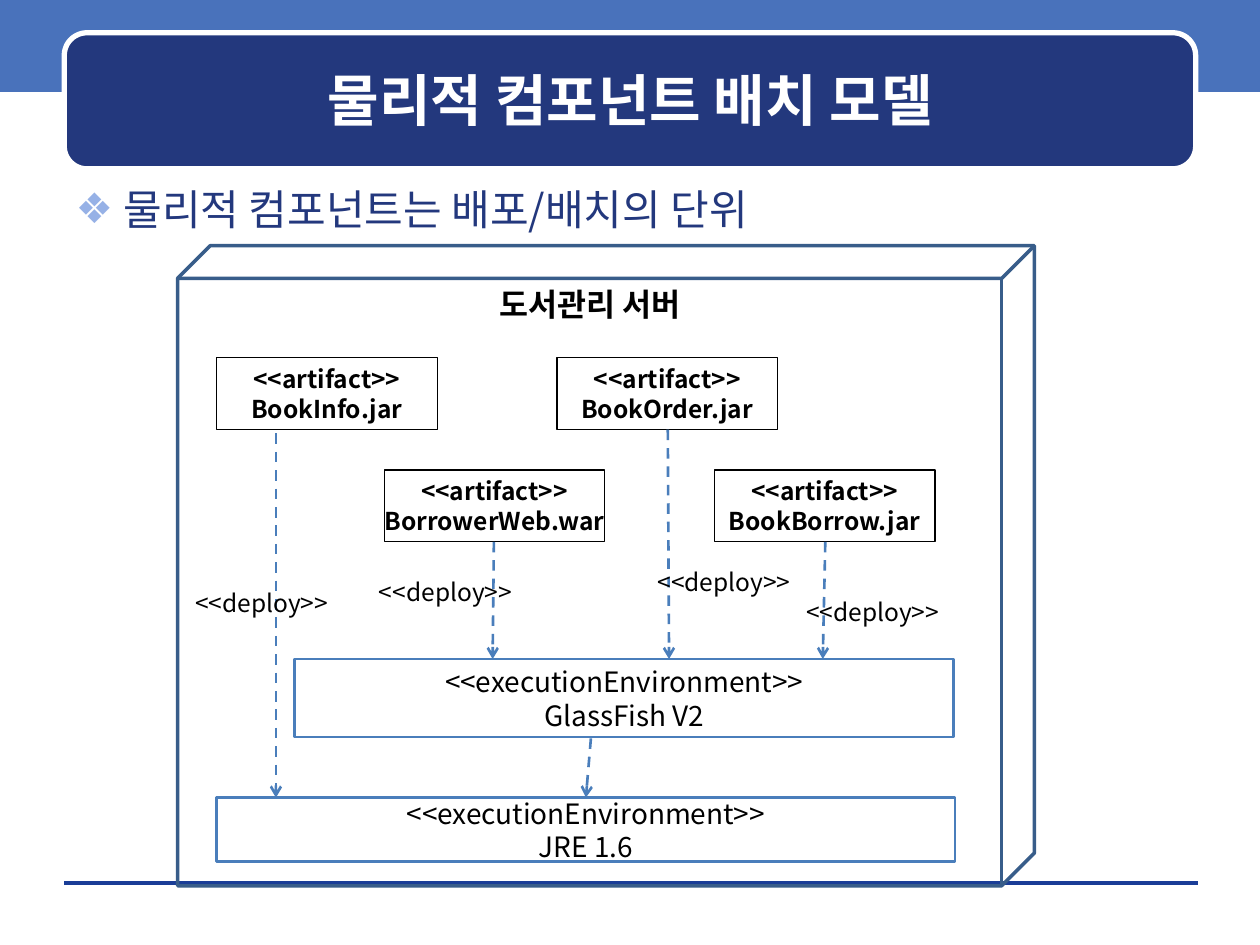
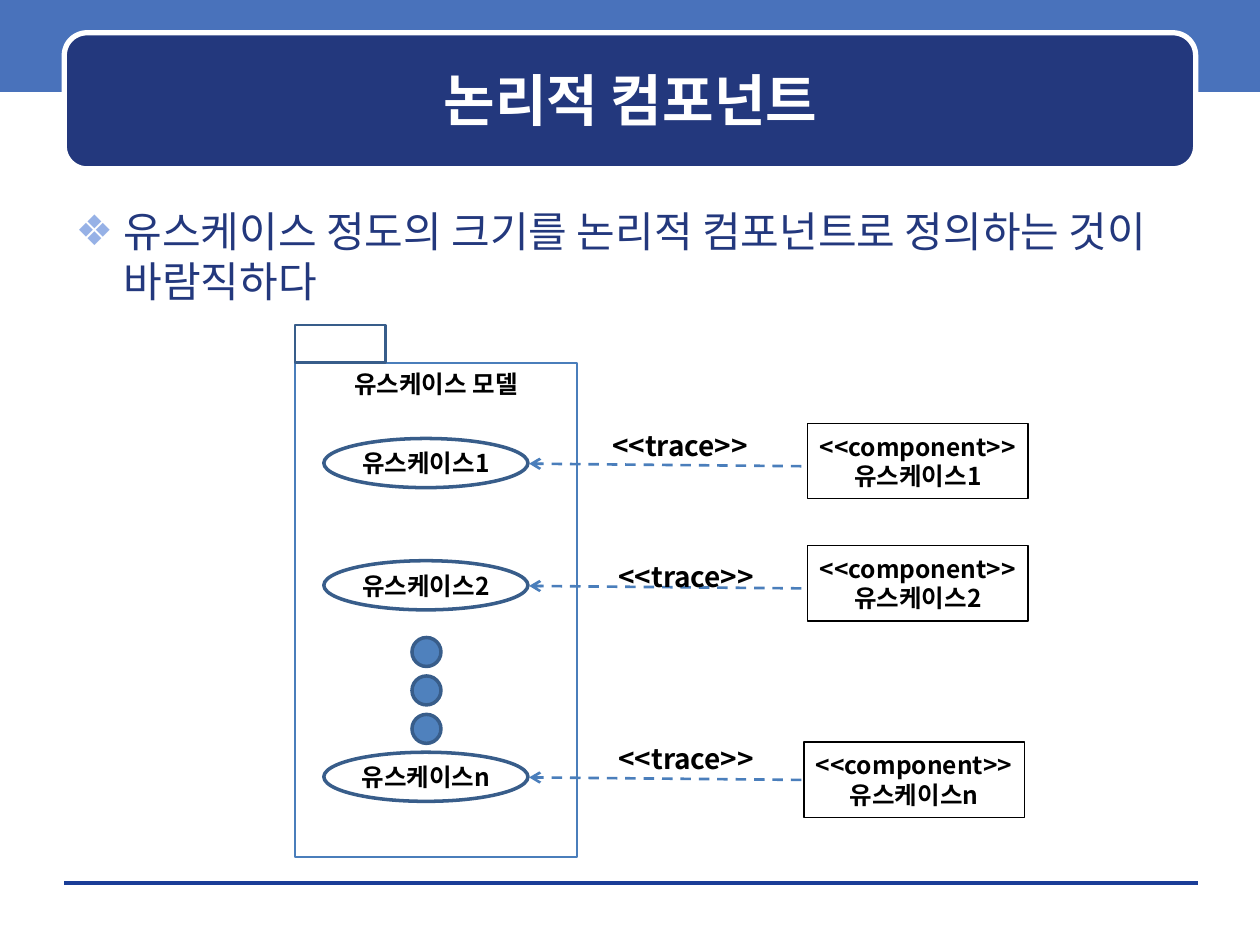
from lxml import etree
from pptx import Presentation
from pptx import util as u
from pptx.dml import color
from pptx.enum import dml, shapes, text
from pptx.oxml import ns

FONT = "Noto Sans CJK KR"
NAVY, BAND, RULE, PALE = "23387D", "4972BB", "1A3D97", "96B1E6"
BLUE, EDGE, DOT = "4A7EBB", "385D8A", "4F81BD"
BLACK, WHITE = "000000", "FFFFFF"
KIND = shapes.MSO_SHAPE
MID, TOP = text.MSO_ANCHOR.MIDDLE, text.MSO_ANCHOR.TOP
CENTER = text.PP_ALIGN.CENTER


def rgb(code):
    return color.RGBColor.from_string(code)


def inches(*sizes):
    return [u.Inches(size) for size in sizes]


def sub(node, tag, **attrs):
    return etree.SubElement(node, ns.qn(tag), **attrs)


def style(frame, size, tint=BLACK, bold=False, align=None):
    for para in frame.paragraphs:
        para.alignment = align
        for run in para.runs:
            run.font.size = u.Pt(size)
            run.font.bold = bold
            run.font.name = FONT
            run.font.color.rgb = rgb(tint)
            sub(run.font._element, "a:ea", typeface=FONT)


def shape(slide, kind, box, line=None, width=0, fill=None):
    item = slide.shapes.add_shape(kind, *inches(*box))
    item.shadow.inherit = False
    if fill:
        item.fill.solid()
        item.fill.fore_color.rgb = rgb(fill)
    else:
        item.fill.background()
    if line:
        item.line.color.rgb = rgb(line)
        item.line.width = u.Pt(width)
    else:
        item.line.fill.background()
    return item


def write(item, words, size, bold=False, anchor=MID, side=0.1):
    frame = item.text_frame
    frame.text = words
    frame.word_wrap = True
    frame.vertical_anchor = anchor
    frame.margin_left = frame.margin_right = u.Inches(side)
    style(frame, size, bold=bold, align=CENTER)


def card(slide, box, kind, name):
    item = shape(slide, KIND.RECTANGLE, box, BLACK, 0.75)
    write(item, f"<<{kind}>>\n{name}", 14, True, side=0)


def label(slide, left, top, words, size, bold=False):
    width, height = (1.28, 0.37) if bold else (1.26, 0.34)
    item = slide.shapes.add_textbox(*inches(left, top, width, height))
    item.text_frame.text = words
    item.text_frame.word_wrap = False
    style(item.text_frame, size, bold=bold)


def rule(slide, start, end, tint, width):
    item = slide.shapes.add_connector(
        shapes.MSO_CONNECTOR.STRAIGHT, *inches(*start, *end))
    item.line.color.rgb = rgb(tint)
    item.line.width = u.Pt(width)
    sub(item._element.spPr, "a:effectLst")
    return item


def arrow(slide, start, end):
    item = rule(slide, start, end, BLUE, 1.5)
    item.line.dash_style = dml.MSO_LINE.DASH
    sub(item.line._get_or_add_ln(), "a:tailEnd", type="arrow")


def frame_up(deck, slide):
    band = shape(slide, KIND.RECTANGLE, (0, -0.03, 10, 0.76), fill=BAND)
    foot = rule(slide, (0.51, 7.01), (9.51, 7.01), RULE, 0)
    plate = shape(slide, KIND.ROUNDED_RECTANGLE, (0.51, 0.26, 8.98, 1.08),
                  WHITE, 3, NAVY)
    tree = deck.slide_master.shapes._spTree
    for spot, item in enumerate((band, foot, plate)):
        item._element.xpath(".//p:cNvPr")[0].set("id", str(50 + spot))
        tree.insert(2 + spot, item._element)


def place(item, box):
    item.left, item.top, item.width, item.height = inches(*box)


def head(slide, words):
    title = slide.shapes.title
    place(title, (0.6, 0.35, 8.81, 0.88))
    title.text_frame.text = words
    title.text_frame.vertical_anchor = MID
    style(title.text_frame, 32, WHITE, True, CENTER)


def body(slide, top, words):
    item = slide.placeholders[1]
    place(item, (0.5, top, 9, 5.33))
    item.text_frame.text = words
    para = item.text_frame.paragraphs[0]
    para.space_before = u.Pt(0)
    props = para._p.get_or_add_pPr()
    props.set("marL", str(u.Inches(0.38)))
    props.set("indent", str(u.Inches(-0.38)))
    sub(sub(props, "a:buClr"), "a:srgbClr", val=PALE)
    sub(props, "a:buChar", char="❖")
    style(item.text_frame, 24, NAVY)


def server(slide, box):
    left, top, width, height = box
    for x, y, name in ((4.26, 1.78, "BookBorrow.jar"),
                       (1.64, 1.78, "BorrowerWeb.war"),
                       (3.01, 0.89, "BookOrder.jar"),
                       (0.31, 0.89, "BookInfo.jar")):
        card(slide, (left + x, top + y, 1.75, 0.57), "artifact", name)
    for x, y, wide, high, name in ((0.93, 3.28, 5.23, 0.62, "GlassFish V2"),
                                   (0.31, 4.38, 5.86, 0.51, "JRE 1.6")):
        item = shape(slide, KIND.RECTANGLE,
                     (left + x, top + y, wide, high), BLUE, 1.5)
        write(item, f"<<executionEnvironment>>\n{name}", 16)
    for x, y, x2, y2 in ((3.28, 3.91, 3.24, 4.38), (0.78, 1.49, 0.78, 4.38),
                         (2.51, 2.35, 2.5, 3.28), (3.89, 1.46, 3.9, 3.28),
                         (5.14, 2.35, 5.12, 3.28)):
        arrow(slide, (left + x, top + y), (left + x2, top + y2))
    for x, y in ((0.04, 2.67), (1.5, 2.58), (3.71, 2.5), (4.89, 2.74)):
        label(slide, left + x, top + y, "<<deploy>>", 14)
    cube = shape(slide, KIND.CUBE, box, EDGE, 2)
    cube.adjustments[0] = 0.051
    write(cube, "도서관리 서버", 18, True, TOP)


def model(slide, box):
    left, top, width, height = box
    for step in range(3):
        shape(slide, KIND.OVAL,
              (left + 0.93, top + 2.18 + step * 0.305, 0.23, 0.23),
              EDGE, 2, DOT)
    pack = shape(slide, KIND.RECTANGLE, box, BLUE, 1.25)
    write(pack, "유스케이스 모델", 14, True, TOP)
    shape(slide, KIND.RECTANGLE, (left, top - 0.3, 0.72, 0.3), EDGE, 1.5)


def trace(slide, left, top, name, note, part):
    case = shape(slide, KIND.OVAL, (left, top, 1.62, 0.39), EDGE, 2)
    write(case, name, 14, True, side=0)
    arrow(slide, (left + 3.79, top + 0.22), (left + 1.63, top + 0.2))
    label(slide, left + note[0], top + note[1], "<<trace>>", 16, True)
    card(slide, (left + part[0], top + part[1], 1.75, 0.6),
         "component", name)


def main():
    deck = Presentation()
    deck.slide_width, deck.slide_height = inches(10, 7.5)
    first, second = [deck.slides.add_slide(deck.slide_layouts[1])
                     for _ in range(2)]
    frame_up(deck, first)

    head(first, "물리적 컴포넌트 배치 모델")
    body(first, 1.41, "물리적 컴포넌트는 배포/배치의 단위")
    server(first, (1.41, 1.95, 6.8, 5.08))

    head(second, "논리적 컴포넌트")
    body(second, 1.58,
         "유스케이스 정도의 크기를 논리적 컴포넌트로 정의하는 것이 바람직하다")
    model(second, (2.34, 2.88, 2.24, 3.92))
    for top, mark, note, part in (
            (3.48, "1", (2.19, -0.13), (3.84, -0.12)),
            (4.45, "2", (2.24, -0.06), (3.84, -0.12)),
            (5.97, "n", (2.24, -0.13), (3.81, -0.08))):
        trace(second, 2.57, top, f"유스케이스{mark}", note, part)
    deck.save("out.pptx")


if __name__ == "__main__":
    main()
